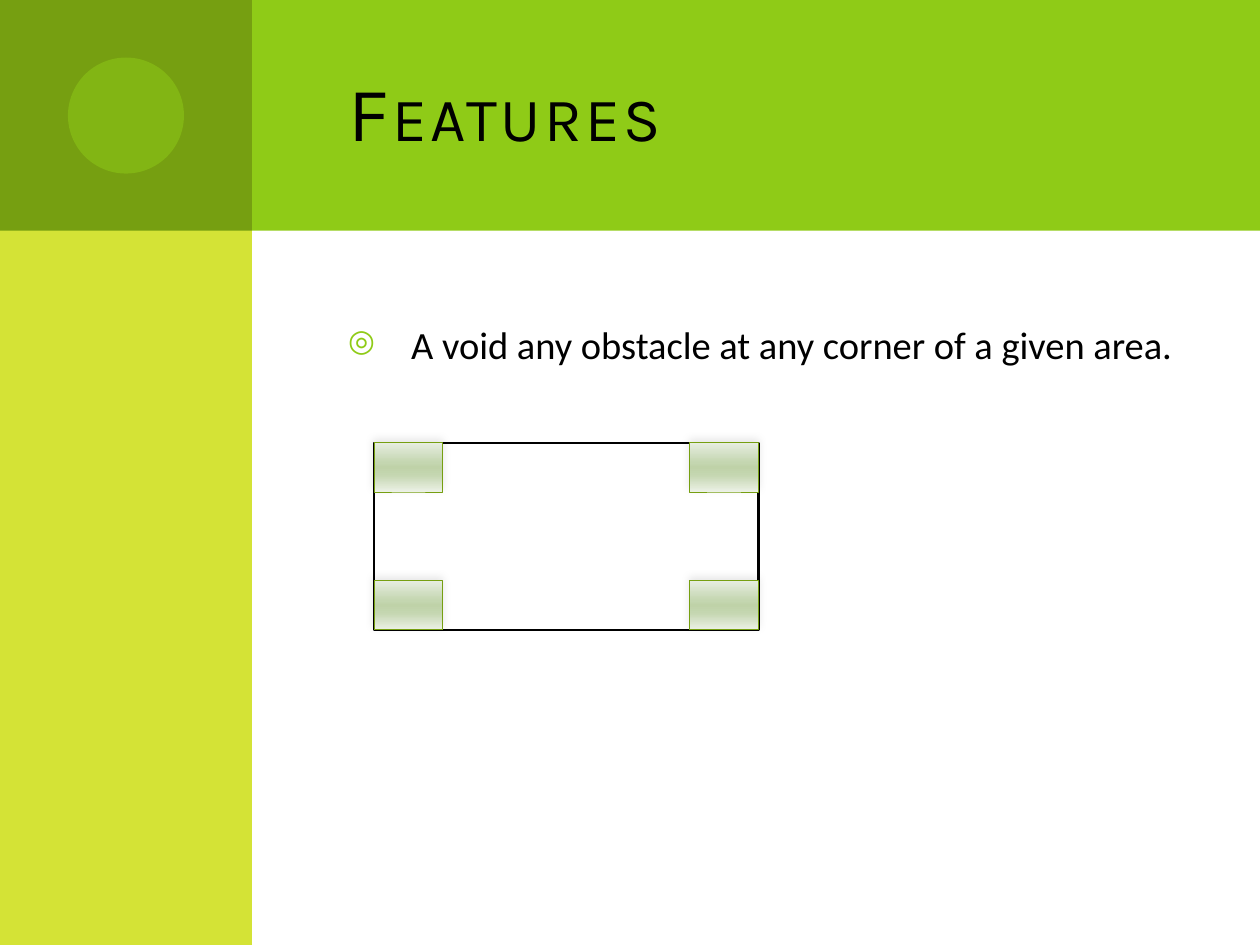
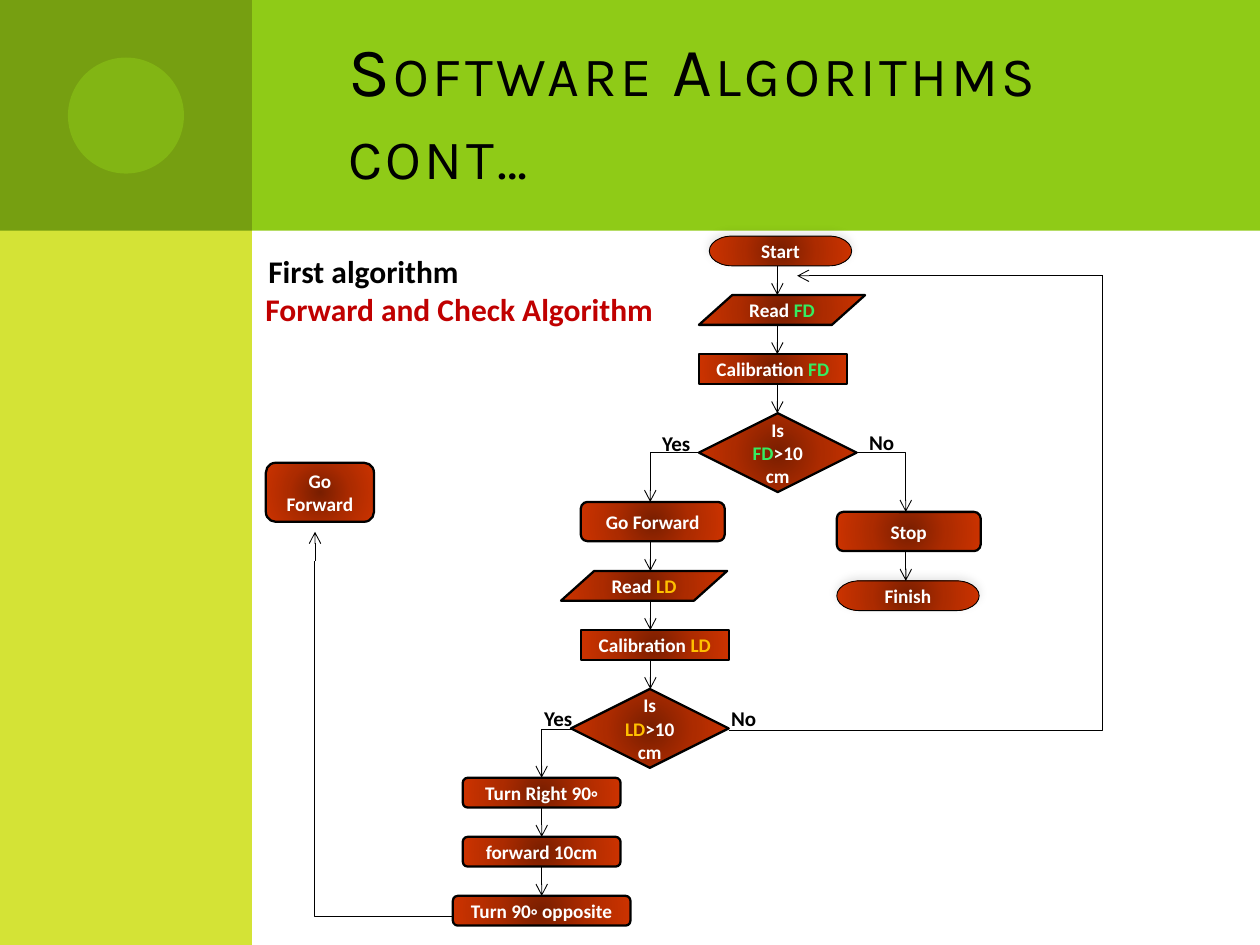
from dataclasses import dataclass
from itertools import pairwise, product

from pptx import Presentation
from pptx.dml.color import RGBColor
from pptx.enum.shapes import MSO_CONNECTOR as Link, MSO_SHAPE as Kind
from pptx.enum.text import MSO_ANCHOR as Anchor, PP_ALIGN as Align
from pptx.oxml import parse_xml
from pptx.oxml.ns import nsdecls, qn
from pptx.util import Cm, Pt


# Theme: colours, fonts and sizes
@dataclass(frozen=True)
class Theme:
    green: str = "8FCB17"
    lime: str = "D4E336"
    olive: str = "769F11"
    black: str = "000000"
    white: str = "FFFFFF"
    red: str = "C00000"
    front: str = "35EC60"
    side: str = "FFC000"
    moss: tuple = ((0, "E6EDE0"), (40, "C4D6B0"), (50, "BFD2A8"),
                   (65, "C4D6B0"), (100, "ECF1E6"))
    rust: tuple = ((0, "791E00"), (50, "AC2B00"), (100, "CC3300"))
    head: str = "Karla"
    body: str = "Calibri"
    text: float = 22
    lead: float = 18
    label: float = 12
    step: float = 11
    thin: float = 0.5
    thick: float = 1.3


T = Theme()
ROUND = Kind.FLOWCHART_ALTERNATE_PROCESS
DATA = Kind.FLOWCHART_DATA
TASK = Kind.FLOWCHART_PROCESS
ASK = Kind.FLOWCHART_DECISION
END = Kind.FLOWCHART_TERMINATOR


@dataclass(frozen=True)
class Box:
    x: float
    y: float
    w: float
    h: float

    def place(self) -> tuple:
        return Cm(self.x), Cm(self.y), Cm(self.w), Cm(self.h)


@dataclass(frozen=True)
class Step:
    kind: Kind
    box: Box
    text: str  # parts between bars take the sensor colour


@dataclass(frozen=True)
class Note:
    text: str
    box: Box
    size: float = T.label
    tint: str = T.black
    wrap: bool = True


@dataclass(frozen=True)
class Wire:
    start: tuple
    stop: tuple
    arrow: bool = True


def rgb(code: str) -> RGBColor:
    return RGBColor.from_string(code)


# Shapes and text
def shape(slide, kind: Kind, box: Box, fill: str = T.white,
          line: float = 0, ink: str = T.black):
    item = slide.shapes.add_shape(kind, *box.place())
    item.shadow.inherit = False
    item.fill.solid()
    item.fill.fore_color.rgb = rgb(fill)
    if line:
        item.line.width = Pt(line)
        item.line.color.rgb = rgb(ink)
    else:
        item.line.fill.background()
    return item


def blend(item, stops: tuple, way: str) -> None:
    marks = "".join(f'<a:gs pos="{at * 1000}"><a:srgbClr val="{code}"/></a:gs>'
                    for at, code in stops)
    props = item._element.spPr
    props.replace(props.find(qn("a:solidFill")), parse_xml(
        f'<a:gradFill {nsdecls("a")} rotWithShape="1"><a:gsLst>{marks}</a:gsLst>'
        f'{way}</a:gradFill>'))


def shade(item) -> None:
    item._element.spPr.find(qn("a:effectLst")).append(parse_xml(
        f'<a:outerShdw {nsdecls("a")} blurRad="63500" dist="25400" dir="16020000">'
        f'<a:srgbClr val="{T.black}"><a:alpha val="10000"/></a:srgbClr>'
        '</a:outerShdw>'))


def style(para, size: float, tint: str, bold: bool = False,
          face: str = T.body) -> None:
    font = para.font
    font.name, font.size, font.bold = face, Pt(size), bold
    font.color.rgb = rgb(tint)


def write(slide, note: Note):
    frame = slide.shapes.add_textbox(*note.box.place()).text_frame
    frame.word_wrap = note.wrap
    para = frame.paragraphs[0]
    para.text = note.text
    style(para, note.size, note.tint, bold=True)


def wire(slide, item: Wire) -> None:
    (x, y), (u, v) = item.start, item.stop
    bent = x != u and y != v
    link = slide.shapes.add_connector(Link.ELBOW if bent else Link.STRAIGHT,
                                      Cm(x), Cm(y), Cm(u), Cm(v))
    link.line.width = Pt(T.thin)
    link.line.color.rgb = rgb(T.black)
    props = link._element.spPr
    if bent:  # one corner: across first, then up or down
        props.find(qn("a:prstGeom")).set("prst", "bentConnector2")
    if item.arrow:
        props.find(qn("a:ln")).append(
            parse_xml(f'<a:tailEnd {nsdecls("a")} type="arrow"/>'))
    props.append(parse_xml(f'<a:effectLst {nsdecls("a")}/>'))


def draw(slide, step: Step) -> None:
    end = step.kind == END
    item = shape(slide, step.kind, step.box, line=T.thin if end else T.thick)
    blend(item, T.rust, '<a:path path="circle"><a:fillToRect l="50000" t="50000"'
                        ' r="50000" b="50000"/></a:path>')
    if end:
        shade(item)
    frame = item.text_frame
    frame.word_wrap = True
    frame.vertical_anchor = Anchor.MIDDLE
    para = frame.paragraphs[0]
    para.alignment = Align.CENTER
    style(para, T.step, T.white, bold=True)
    for spot, part in enumerate(step.text.split("|")):
        if part:
            run = para.add_run()
            run.text = part
            if spot % 2:
                run.font.color.rgb = rgb(T.front if part == "FD" else T.side)


# Shared bands and title
def begin(deck, title: str, size: float):
    slide = deck.slides.add_slide(deck.slide_layouts[6])
    shape(slide, Kind.RECTANGLE, Box(1.27, 0, 24.13, 4.65), T.green)
    shape(slide, Kind.RECTANGLE, Box(0, 0, 5.08, 19.05), T.lime)
    shape(slide, Kind.RECTANGLE, Box(0, 0, 5.08, 4.65), T.olive)
    disc = shape(slide, Kind.OVAL, Box(1.37, 1.16, 2.34, 2.34), T.green)
    disc._element.spPr.find(qn("a:solidFill"))[0].append(
        parse_xml(f'<a:alpha {nsdecls("a")} val="50000"/>'))

    frame = slide.shapes.add_textbox(*Box(6.77, 0.64, 17.36, 3.18).place()).text_frame
    frame.word_wrap = True
    frame.vertical_anchor = Anchor.MIDDLE
    para = frame.paragraphs[0]
    para.text = title
    style(para, size, T.black, face=T.head)
    for run in para.runs:
        props = run._r.get_or_add_rPr()
        props.set("cap", "small")
        props.set("spc", "200")
    return slide


# Slide 1: the area and its corners
def features(deck) -> None:
    slide = begin(deck, "Features", 44)
    frame = slide.shapes.add_textbox(*Box(6.77, 6.35, 17.36, 10.67).place()).text_frame
    frame.word_wrap = True
    para = frame.paragraphs[0]
    para.text = "A void any obstacle at any corner of a given area."
    style(para, T.text, T.black)
    props = para._p.get_or_add_pPr()
    props.set("marL", str(Cm(1.27)))
    props.set("indent", str(-Cm(1.27)))
    bullet = (f'<a:buClr {nsdecls("a")}><a:srgbClr val="{T.green}"/></a:buClr>',
              f'<a:buSzPct {nsdecls("a")} val="80000"/>',
              f'<a:buChar {nsdecls("a")} char="◎"/>')
    for spot, part in enumerate(bullet):
        props.insert(spot, parse_xml(part))

    area = Box(7.54, 8.93, 7.75, 3.77)
    shape(slide, Kind.RECTANGLE, area, line=T.thick)
    wide, high = 1.39, 0.99
    for right, low in product((0, 1), repeat=2):
        spot = Box(area.x + right * (area.w - wide),
                   area.y + low * (area.h - high), wide, high)
        item = shape(slide, Kind.RECTANGLE, spot, line=T.thin, ink=T.olive)
        blend(item, T.moss, '<a:lin ang="5400000" scaled="0"/>')
        shade(item)


# Slide 2: flow chart; each column is a run of steps down one axis
def chart(deck) -> None:
    slide = begin(deck, "Software Algorithms cont…", 39.6)
    low, mid, tall = 0.6, 0.79, 1.59
    gap = 1.19
    top, left, turn = 4.76, 10.12, 15.68
    front, side, back, stop = 15.67, 13.11, 10.92, 18.26
    columns = {
        front: (Step(END, Box(14.3, top, 2.87, low), "Start"),
                Step(DATA, Box(14.09, top + gap, 3.35, low), "Read |FD|"),
                Step(TASK, Box(14.09, top + 2 * gap, 2.98, low), "Calibration |FD|"),
                Step(ASK, Box(14.09, top + 3 * gap, 3.18, tall), "Is |FD|>10cm")),
        side: (Step(ROUND, Box(11.71, left, 2.9, mid), "Go Forward"),
               Step(DATA, Box(11.31, left + 1.39, 3.35, low), "Read |LD|"),
               Step(TASK, Box(11.71, left + 1.39 + gap, 2.98, low),
                    "Calibration |LD|"),
               Step(ASK, Box(11.51, left + 1.39 + 2 * gap, 3.18, tall),
                    "Is |LD|>10cm")),
        back: (Step(ROUND, Box(9.33, turn, 3.18, low), "Turn Right 90◦"),
               Step(ROUND, Box(9.33, turn + gap, 3.18, low), "forward 10cm"),
               Step(ROUND, Box(9.13, turn + 2 * gap, 3.58, low),
                    "Turn 90◦ opposite")),
        stop: (Step(ROUND, Box(16.87, 10.32, 2.9, mid), "Stop"),
               Step(END, Box(16.87, 11.71, 2.87, low), "Finish")),
    }
    for axis, steps in columns.items():
        for step in steps:
            draw(slide, step)
        for one, two in pairwise(steps):
            wire(slide, Wire((axis, one.box.y + one.box.h), (axis, two.box.y)))
    draw(slide, Step(ROUND, Box(5.36, 9.33, 2.18, gap), "Go Forward"))

    # Branches and the two ways back
    loop, exit = 22.23, 6.35
    for item in (
        Wire((14.09, 9.13), (side, left)),
        Wire((17.27, 9.13), (stop, 10.32)),
        Wire((11.51, 14.7), (back, turn)),
        Wire((14.69, 14.72), (loop, 5.56), arrow=False),
        Wire((loop, 5.56), (16.07, 5.56)),
        Wire((9.13, 18.47), (exit, 11.31), arrow=False),
        Wire((exit, 11.31), (exit, 10.72)),
    ):
        wire(slide, item)

    # Captions
    for note in (
        Note("First algorithm", Box(5.16, 4.96, 4.37, 1.03), T.lead, wrap=False),
        Note("Forward and Check Algorithm", Box(5.1, 5.73, 8.38, 1.03), T.lead,
             T.red, wrap=False),
        Note("Yes", Box(13.1, 8.56, 1.4, 0.77)),
        Note("No", Box(17.27, 8.53, 1.4, 0.77)),
        Note("Yes", Box(10.72, 14.1, 1.4, 0.77)),
        Note("No", Box(14.49, 14.1, 1.4, 0.77)),
    ):
        write(slide, note)


deck = Presentation()
deck.slide_width, deck.slide_height = Cm(25.4), Cm(19.05)
features(deck)
chart(deck)
deck.save("out.pptx")
